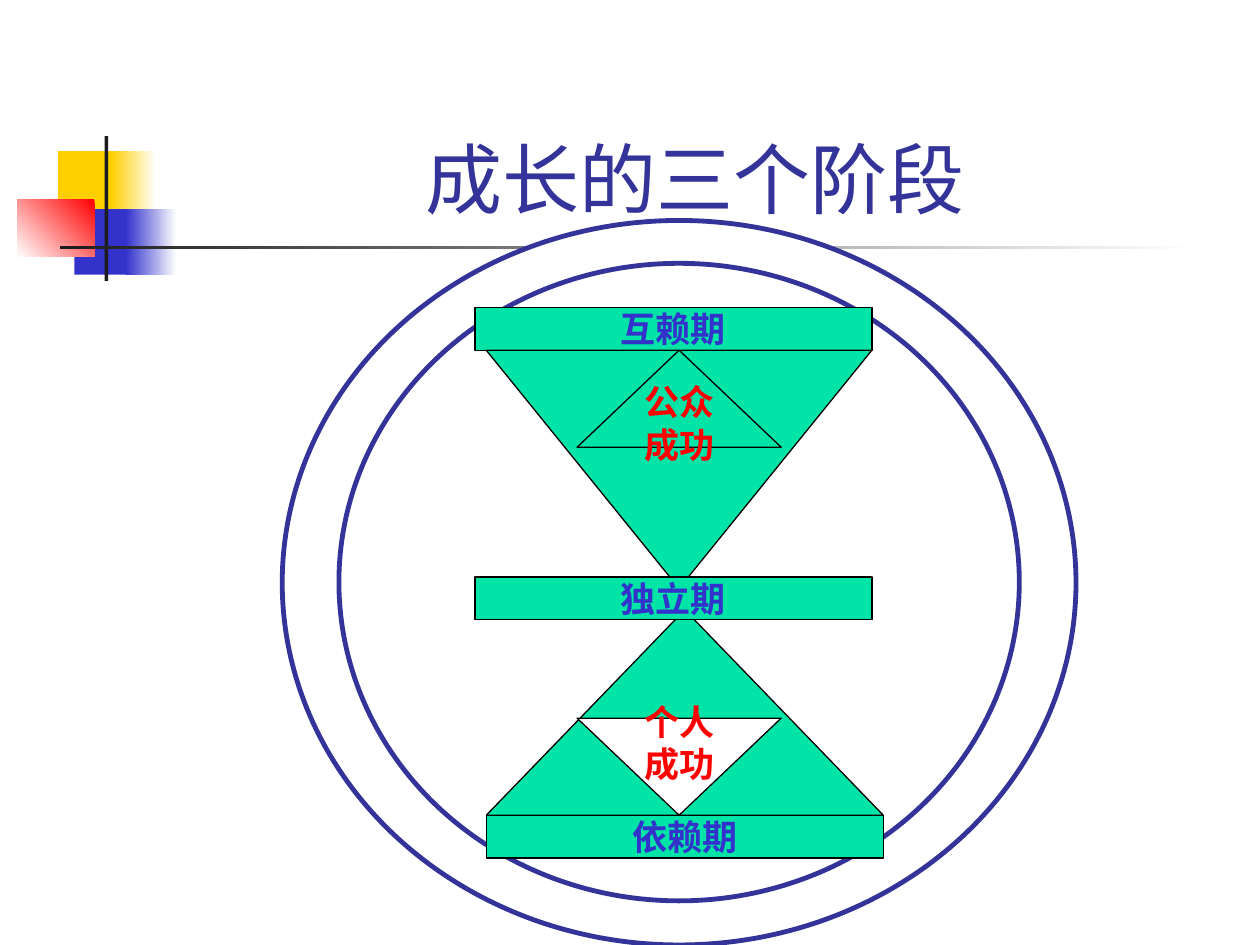
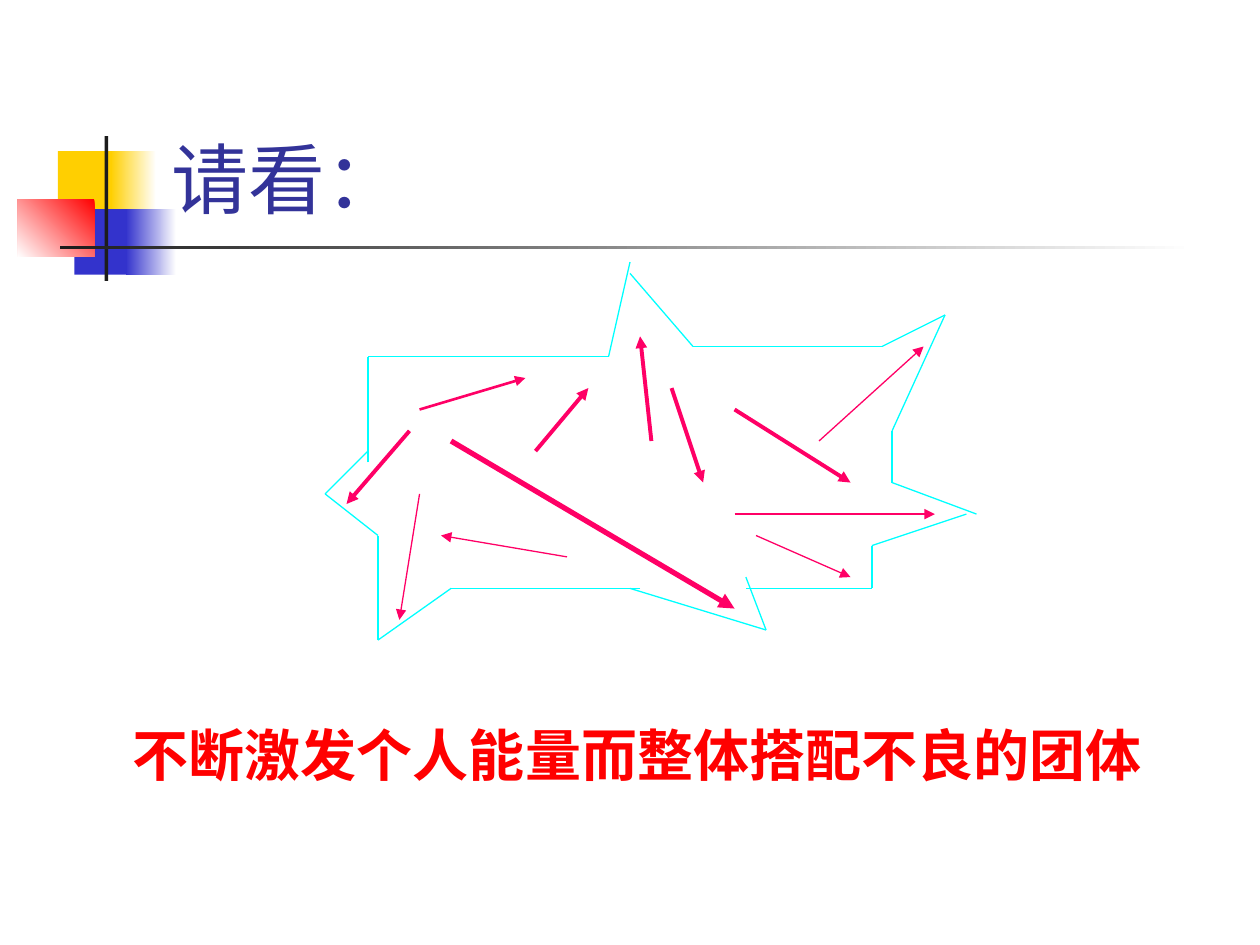
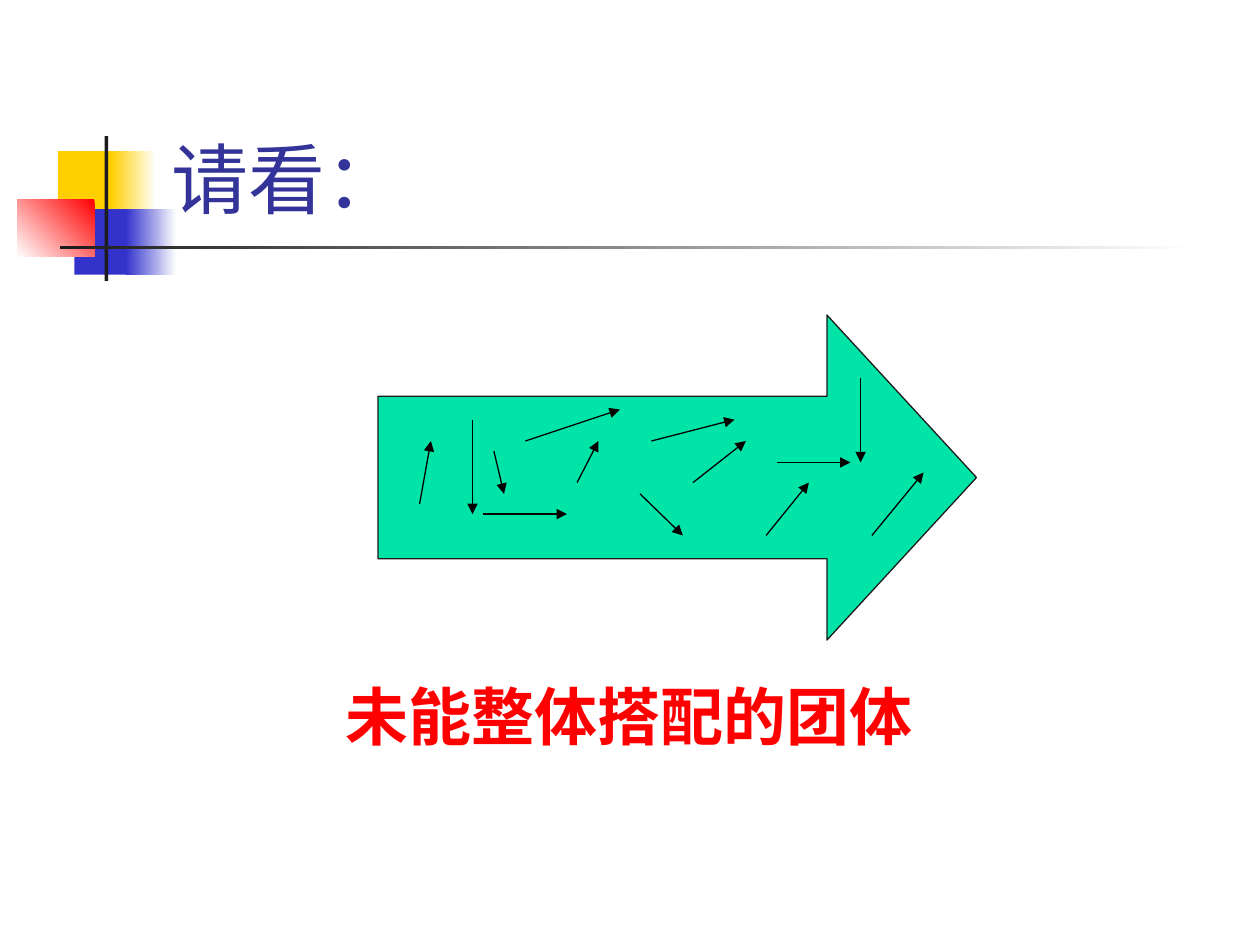
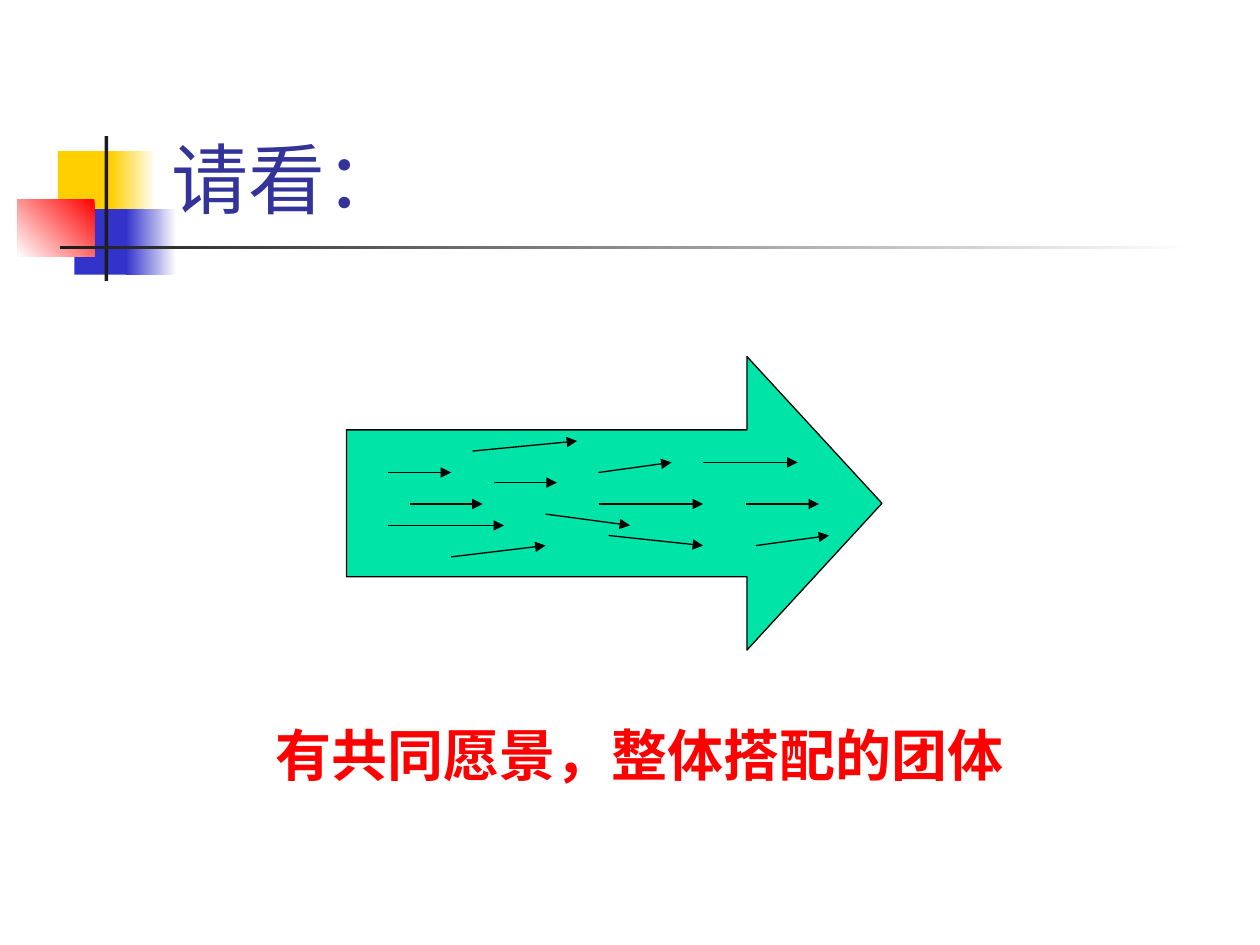
import pptx
import pptx.dml.color
import pptx.enum.shapes
import pptx.enum.text
import pptx.oxml
import pptx.oxml.ns
import pptx.util

Inches = pptx.util.Inches
Pt = pptx.util.Pt
rgb = pptx.dml.color.RGBColor.from_string
SHAPE = pptx.enum.shapes.MSO_SHAPE
ANCHOR = pptx.enum.text.MSO_ANCHOR
ALIGN = pptx.enum.text.PP_ALIGN

FONT = "Cabin"
NAVY, BLUE, GREEN, RED = "333399", "3333CC", "00E4A8", "FF0000"
WHITE, BLACK, CHARCOAL, YELLOW = "FFFFFF", "000000", "1C1C1C", "FFCF01"
PINK, CYAN = "FF0066", "00FFFF"


def add_filled_shape(shapes, kind, box, fill, line=None, width=0.75):
    shape = shapes.add_shape(kind, *[Inches(length) for length in box])
    shape.shadow.inherit = False
    shape.fill.solid()
    shape.fill.fore_color.rgb = rgb(fill)
    if line:
        shape.line.color.rgb = rgb(line)
        shape.line.width = Pt(width)
    else:
        shape.line.fill.background()
    return shape


def add_line(shapes, start, end, color, width=0.75, arrow=True):
    connector = shapes.add_connector(
        pptx.enum.shapes.MSO_CONNECTOR.STRAIGHT,
        *[Inches(length) for length in (*start, *end)])
    connector.line.color.rgb = rgb(color)
    connector.line.width = Pt(width)
    if arrow:
        outline = connector.line._get_or_add_ln()
        tail = pptx.oxml.parse_xml(f'<a:tailEnd {pptx.oxml.ns.nsdecls("a")} type="triangle"/>')
        outline.append(tail)
    effects = pptx.oxml.parse_xml(f'<a:effectLst {pptx.oxml.ns.nsdecls("a")}/>')
    connector.element.spPr.append(effects)


presentation = pptx.Presentation()
presentation.slide_width = Inches(10)
presentation.slide_height = Inches(7.5)
layout = presentation.slide_layouts.get_by_name("Title Only")

slides = []
styled_texts = []
for title_text, alignment in [("成长的三个阶段", ALIGN.CENTER)] + [("请看：", ALIGN.LEFT)] * 3:
    slide = presentation.slides.add_slide(layout)
    title = slide.shapes.title
    title.left, title.top = Inches(1.26), Inches(0.23)
    title.width, title.height = Inches(8.52), Inches(1.6)
    title.text_frame.text = title_text
    title.text_frame.vertical_anchor = ANCHOR.BOTTOM
    styled_texts.append((title.text_frame, 44, NAVY, False, alignment))
    slides.append(slide)
stages, scattered, unaligned, aligned = slides

decorations = [
    ((0.46, 1.2, 0.48, 0.52), YELLOW, None, 0),
    ((0.88, 1.2, 0.36, 0.52), WHITE, YELLOW, 180),
    ((0.59, 1.66, 0.46, 0.52), BLUE, None, 0),
    ((1, 1.66, 0.4, 0.52), WHITE, BLUE, 180),
    ((0.14, 1.58, 0.61, 0.46), RED, WHITE, 225),
    ((0.83, 1.08, 0.03, 1.15), CHARCOAL, None, 0),
    ((0.48, 1.95, 9, 0.03), WHITE, CHARCOAL, 180),
]
for index, (box, first, last, angle) in enumerate(decorations):
    shape = add_filled_shape(stages.shapes, SHAPE.RECTANGLE, box, first)
    if last:
        shape.fill.gradient()
        shape.fill.gradient_angle = angle
        for stop, color in zip(shape.fill.gradient_stops, (first, last)):
            stop.color.rgb = rgb(color)
    shape.element.nvSpPr.cNvPr.set("id", str(20 + index))
    layout.shapes.element.insert(2 + index, shape.element)

diagram = stages.shapes.add_group_shape().shapes
for box in [(2.24, 1.75, 6.3, 5.75), (2.69, 2.09, 5.4, 5.06)]:
    add_filled_shape(diagram, SHAPE.OVAL, box, WHITE, NAVY, 2.75)

up, down = SHAPE.ISOSCELES_TRIANGLE, SHAPE.FLOWCHART_MERGE
stage_parts = [
    (SHAPE.RECTANGLE, (3.77, 2.44, 3.15, 0.34), GREEN, "互赖期", BLUE),
    (SHAPE.RECTANGLE, (3.86, 6.47, 3.15, 0.34), GREEN, "依赖期", BLUE),
    (up, (3.86, 4.84, 3.15, 1.63), GREEN, None, None),
    (down, (3.86, 2.78, 3.06, 1.89), GREEN, None, None),
    (down, (4.58, 5.7, 1.62, 0.77), WHITE, "个人\n成功", RED),
    (up, (4.58, 2.78, 1.62, 0.77), GREEN, "公众\n成功", RED),
    (SHAPE.RECTANGLE, (3.77, 4.58, 3.15, 0.34), GREEN, "独立期", BLUE),
]
for kind, box, fill, label, color in stage_parts:
    shape = add_filled_shape(diagram, kind, box, fill, BLACK)
    if label:
        shape.text_frame.text = label
        shape.text_frame.word_wrap = False
        shape.text_frame.vertical_anchor = ANCHOR.MIDDLE
        styled_texts.append((shape.text_frame, 20, color, True, ALIGN.CENTER))

captions = [
    (scattered, (0.83, 5.67, 8.46, 1.04), "不断激发个人能量而整体搭配不良的团体", 32),
    (unaligned, (1.08, 5.33, 7.83, 0.83), "未能整体搭配的团体", 36),
    (aligned, (0.83, 5.67, 8.5, 1.04), "有共同愿景，整体搭配的团体", 32),
]
for slide, box, text, size in captions:
    caption = slide.shapes.add_textbox(*[Inches(length) for length in box])
    caption.text_frame.text = text
    caption.text_frame.word_wrap = True
    styled_texts.append((caption.text_frame, size, RED, True, ALIGN.CENTER))

diagram = scattered.shapes.add_group_shape().shapes
outline_chains = [
    [(2.92, 3.67), (2.92, 2.83), (4.83, 2.83), (5, 2.08)],
    [(5, 2.17), (5.5, 2.75), (7, 2.75), (7.5, 2.5), (7.08, 3.42), (7.08, 3.83), (7.75, 4.08)],
    [(7.67, 4.08), (6.92, 4.33), (6.92, 4.67), (5.92, 4.67)],
    [(5.92, 4.58), (6.08, 5), (5, 4.67)],
    [(5.08, 4.67), (3.58, 4.67), (3, 5.08), (3, 4.25), (2.58, 3.92), (2.92, 3.58)],
]
for chain in outline_chains:
    for start, end in zip(chain, chain[1:]):
        add_line(diagram, start, end, CYAN, arrow=False)

energy_arrows = [
    ((3.25, 3.42), (2.75, 4), 2.25),
    ((3.33, 3.25), (4.17, 3), 1.5),
    ((3.58, 3.5), (5.83, 4.83), 3),
    ((5.17, 3.5), (5.08, 2.67), 2.25),
    ((5.33, 3.08), (5.58, 3.83), 2.25),
    ((5.83, 4.08), (7.42, 4.08), 0.75),
    ((6.5, 3.5), (7.33, 2.75), 0.75),
    ((5.83, 3.25), (6.75, 3.83), 2.25),
    ((4.25, 3.58), (4.67, 3.08), 2.25),
    ((3.33, 3.92), (3.17, 4.92), 0.75),
    ((6, 4.25), (6.75, 4.58), 0.75),
    ((4.5, 4.42), (3.5, 4.25), 0.75),
]
for start, end, width in energy_arrows:
    add_line(diagram, start, end, PINK, width)

unaligned_arrows = [
    ((3.33, 4), (3.42, 3.5)), ((6.17, 3.67), (6.75, 3.67)),
    ((3.92, 3.58), (4, 3.92)), ((3.83, 4.08), (4.5, 4.08)),
    ((4.58, 3.83), (4.75, 3.5)), ((5.08, 3.92), (5.42, 4.25)),
    ((5.5, 3.83), (5.92, 3.5)), ((4.17, 3.5), (4.92, 3.25)),
    ((3.75, 3.33), (3.75, 4.08)), ((6.08, 4.25), (6.42, 3.83)),
    ((5.17, 3.5), (5.83, 3.33)), ((6.92, 4.25), (7.33, 3.75)),
    ((6.83, 3), (6.83, 3.67)),
]
aligned_arrows = [
    ((3.08, 3.75), (3.58, 3.75)), ((3.92, 3.83), (4.42, 3.83)),
    ((3.08, 4.17), (4, 4.17)), ((3.58, 4.42), (4.33, 4.33)),
    ((4.75, 4), (5.58, 4)), ((5.92, 4), (6.5, 4)),
    ((6, 4.33), (6.58, 4.25)), ((5.58, 3.67), (6.33, 3.67)),
    ((4.83, 4.25), (5.58, 4.33)), ((4.75, 3.75), (5.33, 3.67)),
    ((3.25, 4), (3.83, 4)), ((4.33, 4.08), (5, 4.17)),
    ((3.75, 3.58), (4.58, 3.5)),
]
teams = [
    (unaligned, (3, 2.5, 4.75, 2.58), CHARCOAL, unaligned_arrows),
    (aligned, (2.75, 2.83, 4.25, 2.33), BLACK, aligned_arrows),
]
for slide, box, line, member_arrows in teams:
    diagram = slide.shapes.add_group_shape().shapes
    team_arrow = add_filled_shape(diagram, SHAPE.RIGHT_ARROW, box, GREEN, line)
    team_arrow.adjustments[1] = 0.46
    for start, end in member_arrows:
        add_line(diagram, start, end, BLACK)

for text_frame, size, color, bold, alignment in styled_texts:
    for paragraph in text_frame.paragraphs:
        paragraph.alignment = alignment
        for run in paragraph.runs:
            run.font.name = FONT
            run.font.size = Pt(size)
            run.font.bold = bold
            run.font.color.rgb = rgb(color)

presentation.save("out.pptx")
